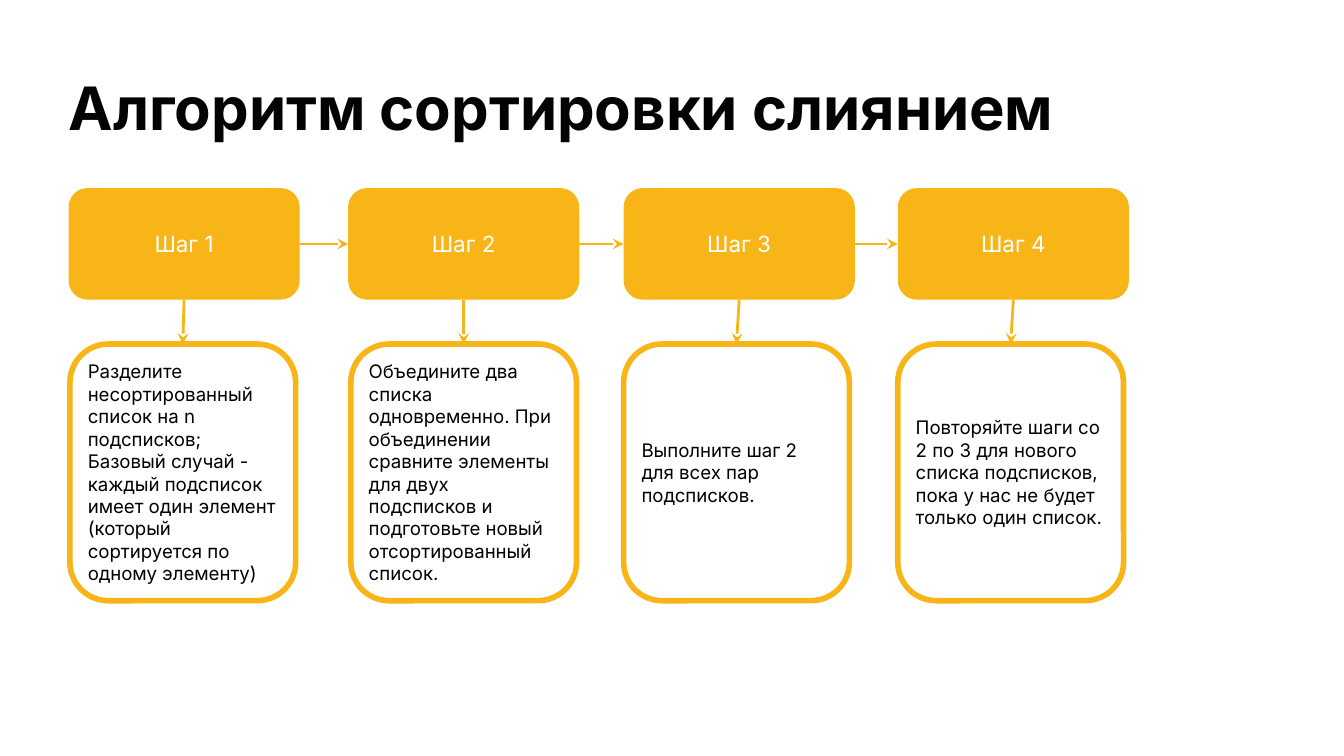
from lxml.etree import SubElement
from pptx import Presentation
from pptx.dml.color import RGBColor
from pptx.enum.shapes import MSO_CONNECTOR as Connector, MSO_SHAPE as Shape
from pptx.enum.text import MSO_ANCHOR as Anchor, PP_ALIGN as Align
from pptx.oxml.ns import qn
from pptx.util import Inches, Pt

COLORS = {"accent": "F7B518", "title": "030303", "text": "000000", "light": "FFFFFF"}
FONT = "Inter"
HEAD_SIZE = (1.72, 0.83)
BODY_SIZE = (1.68, 1.91)
BODY_DROP = 1.16
TOP_SITE, LEFT_SITE, BOTTOM_SITE, RIGHT_SITE = range(4)
STEPS = [
    (0.51, 0.01,
     "Разделите несортированный список на n подсписков; Базовый случай - каждый "
     "подсписок имеет один элемент (который сортируется по одному элементу)"),
    (2.59, 0.02,
     "Объедините два списка одновременно. При объединении сравните элементы для "
     "двух подсписков и подготовьте новый отсортированный список."),
    (4.64, 0, "Выполните шаг 2 для всех пар подсписков."),
    (6.68, 0,
     "Повторяйте шаги со 2 по 3 для нового списка подсписков, пока у нас не будет "
     "только один список."),
]


def color(name):
    """Return the named colour of the palette."""
    return RGBColor.from_string(COLORS[name])


def write_text(shape, text, size, color_name, margins, bold=False,
               align=Align.LEFT, anchor=Anchor.MIDDLE):
    """Fill a shape with one formatted paragraph."""
    frame = shape.text_frame
    side, edge = (Inches(margin) for margin in margins)
    frame_format = {"word_wrap": True, "vertical_anchor": anchor,
                    "margin_left": side, "margin_right": side,
                    "margin_top": edge, "margin_bottom": edge}
    for name, value in frame_format.items():
        setattr(frame, name, value)
    paragraph = frame.paragraphs[0]
    paragraph.alignment = align
    run = paragraph.add_run()
    run.text = text
    for name, value in {"name": FONT, "size": Pt(size), "bold": bold}.items():
        setattr(run.font, name, value)
    run.font.color.rgb = color(color_name)


def add_title(slide, box, text):
    """Add the slide title in its box."""
    shape = slide.shapes.add_textbox(*map(Inches, box))
    write_text(shape, text, 32, "title", (0, 0), bold=True, anchor=Anchor.TOP)


def add_card(slide, box, text, filled):
    """Add a rounded card, either filled or outlined."""
    shape = slide.shapes.add_shape(Shape.ROUNDED_RECTANGLE, *map(Inches, box))
    shape.shadow.inherit = False
    shape.adjustments[0] = 0.17
    if filled:
        shape.fill.solid()
        shape.fill.fore_color.rgb = color("accent")
        shape.line.fill.background()
        write_text(shape, text, 12, "light", (0.05, 0.02), align=Align.CENTER)
    else:
        shape.fill.background()
        shape.line.color.rgb = color("accent")
        shape.line.width = Pt(3)
        write_text(shape, text, 10, "text", (0.05, 0.02))
    return shape


def add_arrow(slide, start, start_site, end, end_site):
    """Join two cards with an arrow between their connection sites."""
    arrow = slide.shapes.add_connector(Connector.STRAIGHT, 0, 0, 0, 0)
    arrow.begin_connect(start, start_site)
    arrow.end_connect(end, end_site)
    arrow.line.color.rgb = color("accent")
    arrow.line.width = Pt(1.5)
    SubElement(arrow.line._get_or_add_ln(), qn("a:tailEnd"), type="stealth")
    SubElement(arrow._element.spPr, qn("a:effectLst"))


def add_step(slide, left, top, shift, heading, text):
    """Add a heading card with its description below and return the heading."""
    head = add_card(slide, (left, top, *HEAD_SIZE), heading, True)
    body = add_card(slide, (left + shift, top + BODY_DROP, *BODY_SIZE), text, False)
    add_arrow(slide, head, BOTTOM_SITE, body, TOP_SITE)
    return head


def add_steps(slide, top):
    """Add the row of steps, each joined to the next."""
    heads = [add_step(slide, left, top, shift, f"Шаг {number}", text)
             for number, (left, shift, text) in enumerate(STEPS, 1)]
    for head, following in zip(heads, heads[1:]):
        add_arrow(slide, head, RIGHT_SITE, following, LEFT_SITE)


def main():
    """Build and save the presentation."""
    presentation = Presentation()
    presentation.slide_width = Inches(10)
    presentation.slide_height = presentation.slide_width * 9 // 16
    slide = presentation.slides.add_slide(presentation.slide_layouts[6])
    add_title(slide, (0.51, 0.53, 7.62, 0.64), "Алгоритм сортировки слиянием")
    add_steps(slide, 1.4)
    presentation.save("out.pptx")


main()
